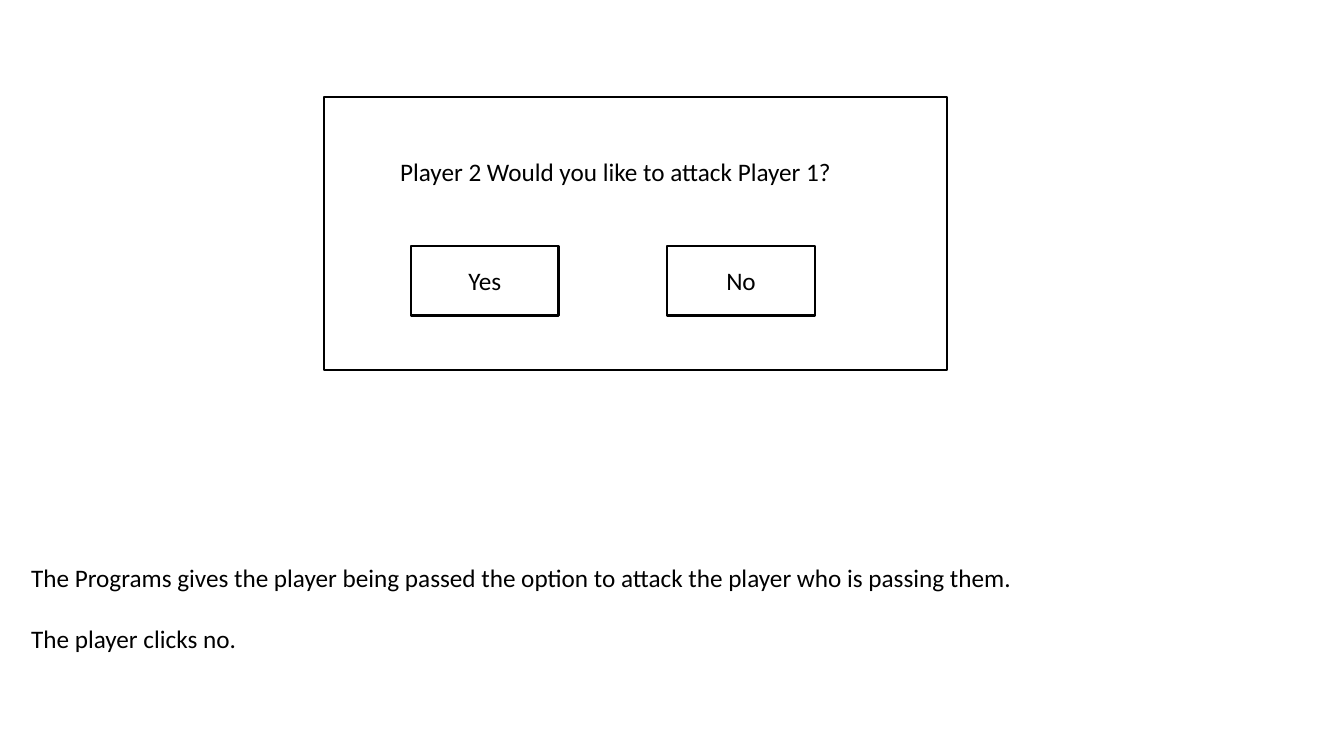
import pptx
import pptx.util
import pptx.dml.color
import pptx.enum.shapes
import pptx.enum.text

COLORS = {"ink": "000000"}
PX = 9144
SLIDE_SIZE = (1333, 750)

DIALOG_BOX = (321, 96, 618, 271)
QUESTION = "Player 2 Would you like to attack Player 1?"
QUESTION_BOX = (387, 150, 453, 40)
BUTTONS = ["Yes", "No"]
FIRST_BUTTON = (408, 244, 146, 69)
BUTTON_STEP = 254
NOTES = [
    "The Programs gives the player being passed the option to attack the player who is passing them.",
    "The player clicks no.",
]
NOTES_BOX = (21, 553, 1272, 101)
PARAGRAPH_GAP = pptx.util.Pt(22)
FONT = {"name": "Calibri", "size": pptx.util.Pt(18)}


def ink():
    return pptx.dml.color.RGBColor.from_string(COLORS["ink"])


def emu(box):
    return [length * PX for length in box]


def write(shape, lines, alignment, frame_format):
    frame = shape.text_frame
    for name, value in frame_format.items():
        setattr(frame, name, value)
    for index, line in enumerate(lines):
        paragraph = frame.add_paragraph() if index else frame.paragraphs[0]
        paragraph.alignment = alignment
        if index:
            paragraph.space_before = PARAGRAPH_GAP
        run = paragraph.add_run()
        run.text = line
        for name, value in FONT.items():
            setattr(run.font, name, value)
        run.font.color.rgb = ink()


def add_outline(slide, box):
    shape = slide.shapes.add_shape(pptx.enum.shapes.MSO_SHAPE.RECTANGLE, *emu(box))
    shape.shadow.inherit = False
    shape.fill.background()
    shape.line.color.rgb = ink()
    shape.line.width = pptx.util.Pt(1.5)
    return shape


def add_text(slide, box, lines, wrap):
    shape = slide.shapes.add_textbox(*emu(box))
    write(shape, lines, pptx.enum.text.PP_ALIGN.LEFT, {
        "word_wrap": wrap,
        "auto_size": pptx.enum.text.MSO_AUTO_SIZE.SHAPE_TO_FIT_TEXT,
    })


def main():
    presentation = pptx.Presentation()
    presentation.slide_width, presentation.slide_height = emu(SLIDE_SIZE)
    slide = presentation.slides.add_slide(presentation.slide_layouts[6])

    add_outline(slide, DIALOG_BOX)
    add_text(slide, QUESTION_BOX, [QUESTION], False)
    left, top, width, height = FIRST_BUTTON
    for index, label in enumerate(BUTTONS):
        button = add_outline(slide, (left + index * BUTTON_STEP, top, width, height))
        write(button, [label], pptx.enum.text.PP_ALIGN.CENTER, {
            "word_wrap": True,
            "vertical_anchor": pptx.enum.text.MSO_ANCHOR.MIDDLE,
        })
    add_text(slide, NOTES_BOX, NOTES, True)

    presentation.save("out.pptx")


if __name__ == "__main__":
    main()
